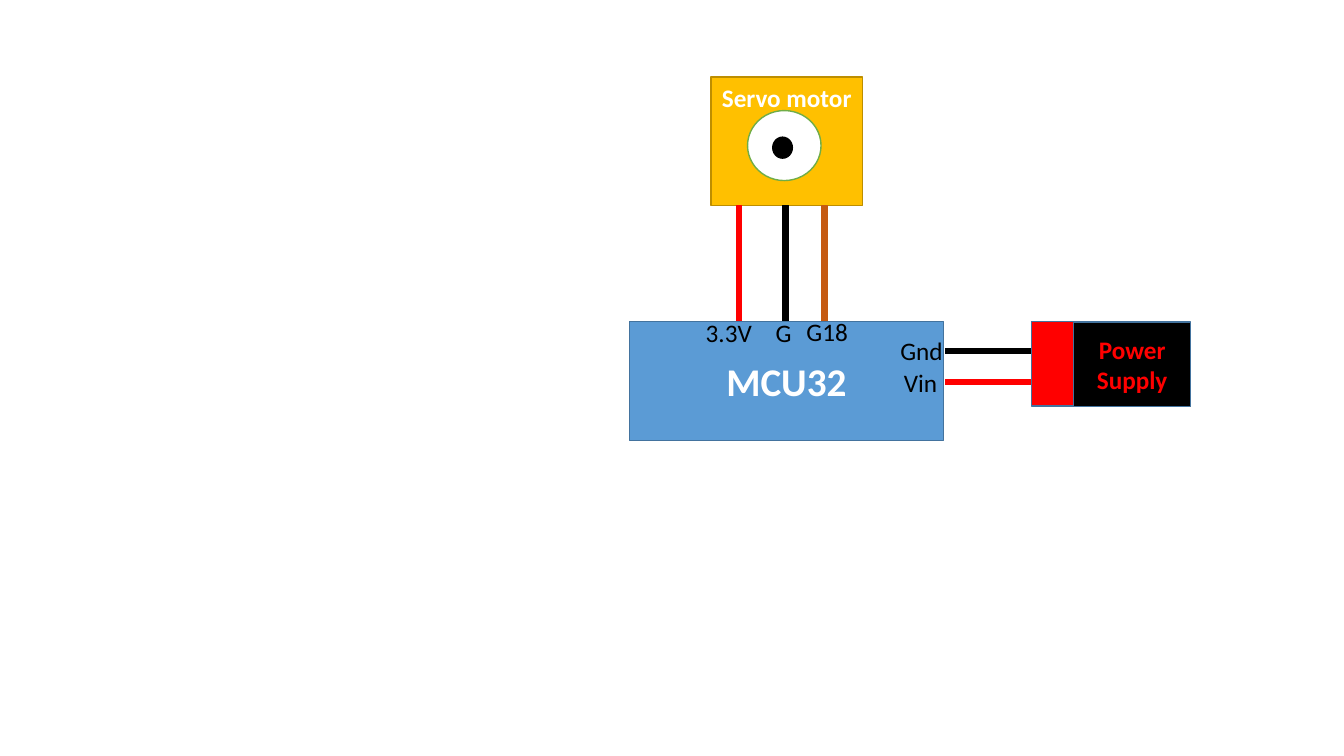
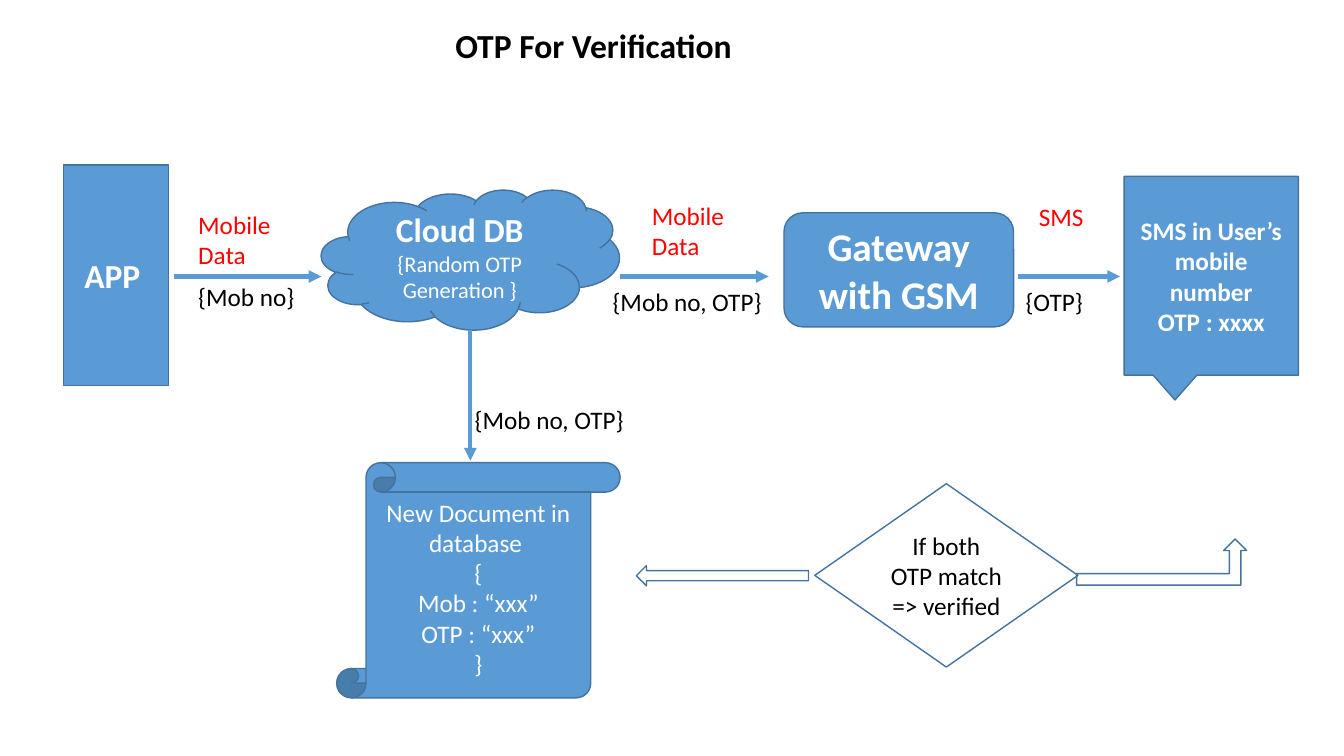
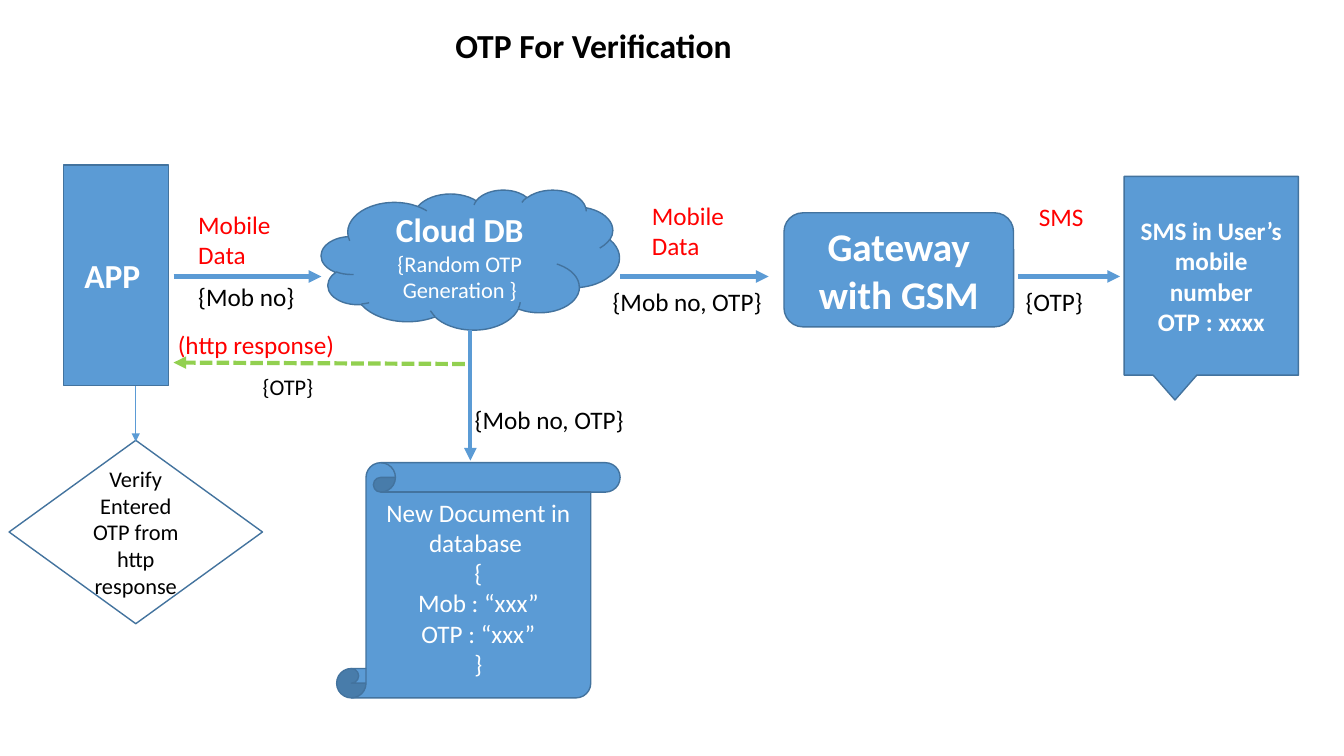
from dataclasses import dataclass

from lxml.etree import SubElement
from pptx import Presentation
from pptx.dml.color import RGBColor
from pptx.enum.dml import MSO_LINE
from pptx.enum.shapes import MSO_CONNECTOR, MSO_SHAPE as Kind
from pptx.enum.text import MSO_ANCHOR as Anchor, MSO_AUTO_SIZE, PP_ALIGN as Align
from pptx.oxml.ns import qn
from pptx.presentation import Presentation as Deck
from pptx.slide import Slide
from pptx.text.text import TextFrame
from pptx.util import Pt

FONT = "Calibri"
BLUE, NAVY, WHITE, BLACK, RED = "5B9BD5", "43739E", "FFFFFF", "000000", "FF0000"
AMBER, DARK_AMBER, GREEN, LIME, BROWN = "FFC000", "BD8E00", "70AD47", "92D050", "C55A11"
TITLE_ONLY, BLANK = 5, 6
FLOW_Y = 197.5

Box = tuple[float, float, float, float]
Point = tuple[float, float]


@dataclass(frozen=True)
class Line:
    text: str
    size: float = 18
    color: str = WHITE
    bold: bool = False


@dataclass(frozen=True)
class Block:
    kind: Kind
    box: Box
    lines: tuple[Line, ...] = ()
    fill: str | None = BLUE
    outline: str = NAVY
    anchor: Anchor = Anchor.MIDDLE


@dataclass(frozen=True)
class Label:
    line: Line
    box: Box
    wrap: bool = True


@dataclass(frozen=True)
class Wire:
    start: Point
    end: Point
    color: str = BLUE
    width: float = 3
    arrow: bool = True
    dashed: bool = False


def rgb(color: str) -> RGBColor:
    return RGBColor.from_string(color)


def write(frame: TextFrame, lines: tuple[Line, ...], align: Align) -> None:
    for index, line in enumerate(lines):
        paragraph = frame.add_paragraph() if index else frame.paragraphs[0]
        paragraph.text = line.text
        paragraph.alignment = align
        font = paragraph.font
        font.name, font.size, font.bold = FONT, Pt(line.size), line.bold
        font.color.rgb = rgb(line.color)


def draw_block(slide: Slide, block: Block) -> None:
    shape = slide.shapes.add_shape(block.kind, *map(Pt, block.box))
    shape.shadow.inherit = False
    if block.fill:
        shape.fill.solid()
        shape.fill.fore_color.rgb = rgb(block.fill)
    else:
        shape.fill.background()
    shape.line.color.rgb = rgb(block.outline)
    shape.line.width = Pt(1)
    shape.text_frame.vertical_anchor = block.anchor
    write(shape.text_frame, block.lines, Align.CENTER)


def draw_label(slide: Slide, label: Label) -> None:
    frame = slide.shapes.add_textbox(*map(Pt, label.box)).text_frame
    frame.word_wrap = label.wrap
    write(frame, (label.line,), Align.LEFT)


def draw_wire(slide: Slide, wire: Wire) -> None:
    connector = slide.shapes.add_connector(
        MSO_CONNECTOR.STRAIGHT, *map(Pt, wire.start + wire.end)
    )
    connector.line.color.rgb = rgb(wire.color)
    connector.line.width = Pt(wire.width)
    if wire.dashed:
        connector.line.dash_style = MSO_LINE.SQUARE_DOT
    properties = connector.element.spPr
    if wire.arrow:
        SubElement(properties.find(qn("a:ln")), qn("a:tailEnd"), type="triangle")
    SubElement(properties, qn("a:effectLst"))


def draw(slide: Slide, items: tuple[Block | Label | Wire, ...]) -> None:
    """Draw the items from back to front."""
    painters = {Block: draw_block, Label: draw_label, Wire: draw_wire}
    for item in items:
        painters[type(item)](slide, item)


def set_title(slide: Slide, text: str) -> None:
    title = slide.shapes.title
    title.left, title.top, title.width, title.height = map(Pt, (318, 14, 227.5, 36))
    frame = title.text_frame
    frame.word_wrap = True
    frame.auto_size = MSO_AUTO_SIZE.NONE
    frame.vertical_anchor = Anchor.TOP
    write(frame, (Line(text, 24, BLACK, True),), Align.LEFT)


def black(text: str, size: float = 18) -> Line:
    return Line(text, size, BLACK)


def red(text: str) -> Line:
    return Line(text, color=RED)


def decision(text: Line, box: Box) -> Block:
    return Block(Kind.FLOWCHART_DECISION, box, (text,), fill=None)


def cable(start: Point, end: Point, color: str) -> Wire:
    return Wire(start, end, color, 4.5, arrow=False)


SERVO_WIRING = (
    Block(Kind.RECTANGLE, (449.5, 229.5, 224.5, 85), (Line("MCU32", 28, bold=True),)),
    *(cable((675, y), (737, y), color) for y, color in ((250.5, BLACK), (273, RED))),
    Block(Kind.RECTANGLE, (737, 229.5, 32.5, 60.5), fill=RED),
    Block(Kind.RECTANGLE, (767, 230, 83.5, 60.5),
          (Line("Power Supply", color=RED, bold=True),), BLACK),
    Label(black("Gnd"), (636, 236, 45.5, 29), wrap=False),
    Label(black("Vin"), (638.5, 259, 39, 29), wrap=False),
    Block(Kind.RECTANGLE, (508, 55, 108, 92), (Line("Servo motor", bold=True),),
          AMBER, DARK_AMBER, Anchor.TOP),
    Block(Kind.OVAL, (534, 79, 52.5, 50), fill=WHITE, outline=GREEN),
    Block(Kind.OVAL, (552, 98, 14, 15), fill=BLACK, outline=BLACK),
    *(cable((x, 146.5), (x, 229.5), color)
      for x, color in ((528, RED), (561, BLACK), (589, BROWN))),
    Label(black("3.3V"), (497, 223, 54, 29)),
    Label(black("G"), (547, 223, 26, 29), wrap=False),
    Label(black("G18"), (569, 222.5, 44.5, 29), wrap=False),
)

OTP_FLOW = (
    Block(Kind.RECTANGLE, (45.5, 118, 75, 157.5), (Line("APP ", 24, bold=True),)),
    Block(Kind.CLOUD, (229.5, 135.5, 213, 100),
          (Line("Cloud DB", 24, bold=True), Line("{Random OTP Generation }", 16))),
    Block(Kind.FLOWCHART_ALTERNATE_PROCESS, (560, 152, 164, 81.5),
          (Line("Gateway", 28, bold=True), Line("with GSM", 28, bold=True))),
    Block(Kind.RECTANGULAR_CALLOUT, (803, 126, 124.5, 142),
          (Line("SMS in User’s mobile number", bold=True), Line("OTP : xxxx", bold=True))),
    Block(Kind.VERTICAL_SCROLL, (240.5, 330.5, 202.5, 168),
          tuple(map(Line, ("New Document in database ", "{", "Mob : “xxx”",
                           "OTP : “xxx”", "}")))),
    *(Wire((left, FLOW_Y), (right, FLOW_Y))
      for left, right in ((124, 229.5), (443, 549), (727, 800))),
    Wire((336, 235.5), (336, 329)),
    Label(black("{Mob no}"), (134.5, FLOW_Y, 85, 30)),
    Label(black("{Mob no, OTP}"), (430.5, 201, 123, 29)),
    Label(black("{Mob no, OTP}"), (332, 285, 123, 29)),
    Label(black("{OTP}"), (725.5, 201, 85, 30)),
    Label(red("Mobile Data"), (134.5, 146, 85, 51)),
    Label(red("Mobile Data"), (458.5, 139.5, 85, 51)),
    Label(red("SMS"), (735, 140.5, 51, 29)),
)

MATCH_IN_DATABASE = (
    decision(black("If both OTP match => verified"), (582, 345.5, 188, 131)),
    Block(Kind.LEFT_ARROW, (454.5, 404, 123, 14.5), fill=None),
    Block(Kind.BENT_UP_ARROW, (769, 385, 121.5, 33), fill=None),
)

MATCH_IN_APP = (
    decision(black("Verify Entered OTP from http response", 16), (6.5, 314.5, 181, 131)),
    Wire((332, 260), (124, 259), LIME, dashed=True),
    Label(black("{OTP}", 16), (180.5, 263, 53, 26.5)),
    Label(red("(http response)"), (120, 232, 238, 29)),
    Wire((97, 275.5), (97, 315.5), width=0.5),
)


def add_slide(presentation: Deck, layout: int) -> Slide:
    return presentation.slides.add_slide(presentation.slide_layouts[layout])


def main() -> None:
    presentation = Presentation()
    presentation.slide_width, presentation.slide_height = Pt(960), Pt(540)
    draw(add_slide(presentation, BLANK), SERVO_WIRING)
    for verification in (MATCH_IN_DATABASE, MATCH_IN_APP):
        slide = add_slide(presentation, TITLE_ONLY)
        set_title(slide, "OTP For Verification")
        draw(slide, OTP_FLOW + verification)
    presentation.save("out.pptx")


if __name__ == "__main__":
    main()
